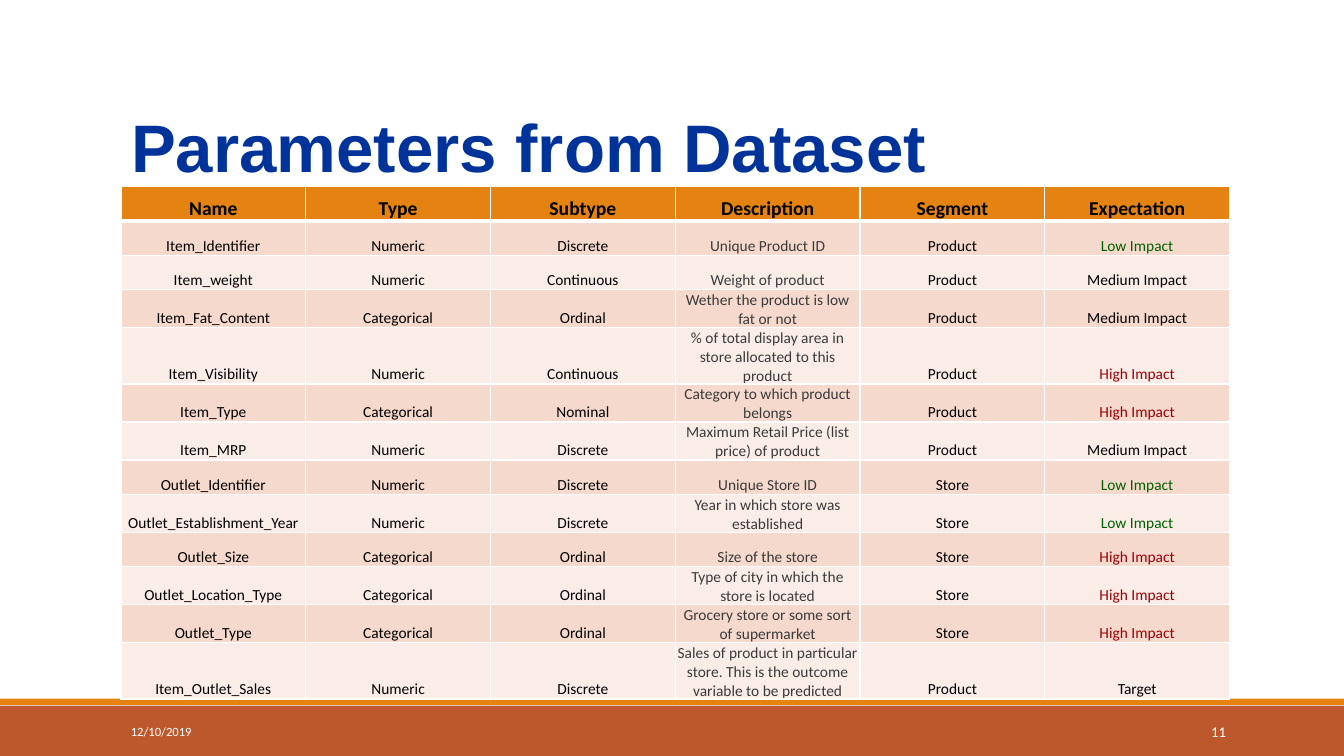
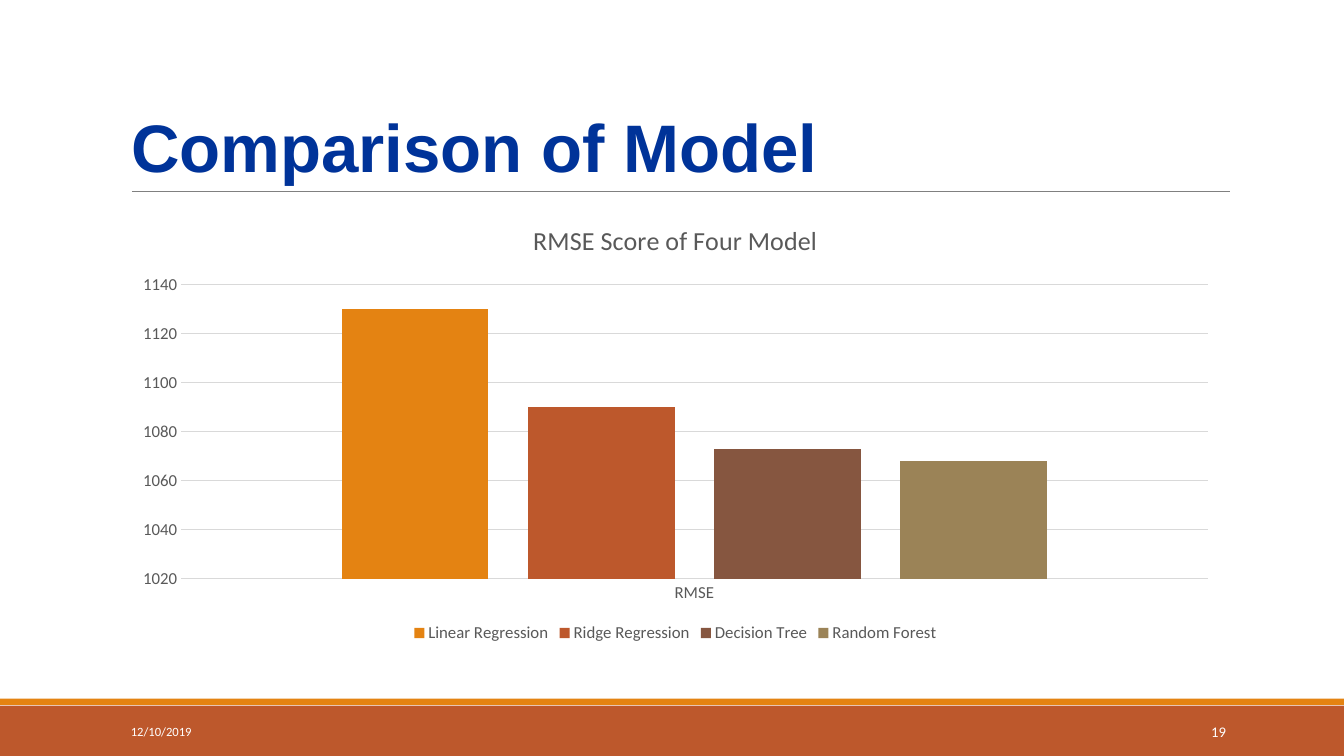
from lxml.etree import SubElement
from pptx import Presentation
from pptx.chart.data import CategoryChartData
from pptx.dml.color import RGBColor
from pptx.enum.chart import XL_CHART_TYPE, XL_LEGEND_POSITION, XL_TICK_MARK
from pptx.enum.shapes import MSO_CONNECTOR, MSO_SHAPE
from pptx.enum.text import MSO_ANCHOR, MSO_AUTO_SIZE, PP_ALIGN
from pptx.oxml.ns import qn
from pptx.util import Pt

COLORS = {
    "title": "003399", "orange": "E48312", "rust": "BD582C",
    "brown": "865640", "khaki": "9B8357", "rule": "808080",
    "white": "FFFFFF", "black": "000000", "description": "3A3A3A",
    "odd_row": "F5D9CC", "even_row": "FAEDE7",
    "low": "006100", "high": "9C0006",
    "chart_text": "595959", "grid": "D9D9D9",
}
WIDTH, HEIGHT = 960, 540
LEFT, CONTENT_WIDTH = 86.4, 792
BODY_FONT = "Calibri"
DATE = "12/10/2019"

HEADER = ("Name", "Type", "Subtype", "Description", "Segment", "Expectation")
PARAMETERS = [
    ("Item_Identifier", "Numeric", "Discrete", "Unique Product ID", "Product", "Low Impact"),
    ("Item_weight", "Numeric", "Continuous", "Weight of product", "Product", "Medium Impact"),
    ("Item_Fat_Content", "Categorical", "Ordinal", "Wether the product is low fat or not",
     "Product", "Medium Impact"),
    ("Item_Visibility", "Numeric", "Continuous",
     "% of total display area in store allocated to this product", "Product", "High Impact"),
    ("Item_Type", "Categorical", "Nominal", "Category to which product belongs",
     "Product", "High Impact"),
    ("Item_MRP", "Numeric", "Discrete", "Maximum Retail Price (list price) of product",
     "Product", "Medium Impact"),
    ("Outlet_Identifier", "Numeric", "Discrete", "Unique Store ID", "Store", "Low Impact"),
    ("Outlet_Establishment_Year", "Numeric", "Discrete", "Year in which store was established",
     "Store", "Low Impact"),
    ("Outlet_Size", "Categorical", "Ordinal", "Size of the store", "Store", "High Impact"),
    ("Outlet_Location_Type", "Categorical", "Ordinal",
     "Type of city in which the store is located", "Store", "High Impact"),
    ("Outlet_Type", "Categorical", "Ordinal", "Grocery store or some sort of supermarket",
     "Store", "High Impact"),
    ("Item_Outlet_Sales", "Numeric", "Discrete",
     "Sales of product in particular store. This is the outcome variable to be predicted",
     "Product", "Target"),
]
RMSE_SCORES = [
    ("Linear Regression", 1130, "orange"),
    ("Ridge Regression", 1090, "rust"),
    ("Decision Tree", 1073, "brown"),
    ("Random Forest", 1068, "khaki"),
]


def rgb(name):
    return RGBColor.from_string(COLORS[name])


def style_font(font, size, color, bold=False, name=BODY_FONT):
    font.name = name
    font.size = Pt(size)
    font.bold = bold
    font.color.rgb = rgb(color)


def add_band(s, top, height, color):
    sp = s.shapes.add_shape(MSO_SHAPE.RECTANGLE, 0, Pt(top), Pt(WIDTH), Pt(height))
    sp.shadow.inherit = False
    sp.fill.solid()
    sp.fill.fore_color.rgb = rgb(color)
    sp.line.fill.background()


def add_rule(s, left, right, y):
    line = s.shapes.add_connector(MSO_CONNECTOR.STRAIGHT, Pt(left), Pt(y), Pt(right), Pt(y))
    line.line.color.rgb = rgb("rule")
    line.line.width = Pt(0.5)
    SubElement(line.element.spPr, qn("a:effectLst"))


def add_footer_text(s, text, left, width, size, align):
    tf = s.shapes.add_textbox(Pt(left), Pt(508.3), Pt(width), Pt(28.8)).text_frame
    tf.word_wrap = True
    tf.vertical_anchor = MSO_ANCHOR.MIDDLE
    p = tf.paragraphs[0]
    p.text = text
    p.alignment = align
    style_font(p.runs[0].font, size, "white")


def set_title(s, text):
    sp = s.shapes.title
    sp.left, sp.top, sp.width, sp.height = Pt(LEFT), Pt(22.3), Pt(CONTENT_WIDTH), Pt(114.5)
    tf = sp.text_frame
    tf.word_wrap = True
    tf.auto_size = MSO_AUTO_SIZE.NONE
    tf.vertical_anchor = MSO_ANCHOR.BOTTOM
    p = tf.paragraphs[0]
    p.text = text
    p.alignment = PP_ALIGN.LEFT
    p.line_spacing = 0.85
    style_font(p.runs[0].font, 48, "title", True, "Arial")


def add_base_slide(prs, title, number):
    s = prs.slides.add_slide(prs.slide_layouts[5])
    add_band(s, 504, 36, "rust")
    add_band(s, 499, 4.6, "orange")
    add_rule(s, 94.3, 878.8, 136.8)
    set_title(s, title)
    add_footer_text(s, DATE, LEFT, 194.4, 9, PP_ALIGN.LEFT)
    add_footer_text(s, str(number), 779.8, 103, 10.5, PP_ALIGN.RIGHT)
    return s


def set_borders(cell, widths):
    tc_pr = cell._tc.get_or_add_tcPr()
    for side, width in zip("LRTB", widths):
        ln = SubElement(tc_pr, qn(f"a:ln{side}"), w=str(Pt(width)))
        fill = SubElement(ln, qn("a:solidFill"))
        SubElement(fill, qn("a:srgbClr"), val=COLORS["white"])


def text_color(row, column, text):
    if row and column == 3:
        return "description"
    return {"Low Impact": "low", "High Impact": "high"}.get(text, "black")


def fill_cell(cell, text, row, column):
    set_borders(cell, (1, 1, 3 if row == 1 else 1, 3 if row == 0 else 1))
    cell.fill.solid()
    fill = "orange" if row == 0 else ("even_row", "odd_row")[row % 2]
    cell.fill.fore_color.rgb = rgb(fill)
    cell.margin_left = cell.margin_right = cell.margin_top = Pt(0.7)
    cell.margin_bottom = 0
    cell.vertical_anchor = MSO_ANCHOR.BOTTOM
    p = cell.text_frame.paragraphs[0]
    p.text = text
    p.alignment = PP_ALIGN.CENTER
    style_font(p.runs[0].font, 11 if row else 14, text_color(row, column, text), row == 0)


def add_parameter_table(s, left, top, width, row_height):
    rows = [HEADER, *PARAMETERS]
    frame = s.shapes.add_table(len(rows), len(HEADER), Pt(left), Pt(top),
                               Pt(width), Pt(row_height * len(rows)))
    for r, values in enumerate(rows):
        for c, text in enumerate(values):
            fill_cell(frame.table.cell(r, c), text, r, c)


def style_axes(chart):
    value, category = chart.value_axis, chart.category_axis
    for axis in (value, category):
        axis.major_tick_mark = axis.minor_tick_mark = XL_TICK_MARK.NONE
        style_font(axis.tick_labels.font, 12, "chart_text")
    value.minimum_scale, value.maximum_scale, value.major_unit = 1020, 1140, 20
    value.format.line.fill.background()
    for line in (value.major_gridlines.format.line, category.format.line):
        line.color.rgb = rgb("grid")
        line.width = Pt(0.75)


def add_score_chart(s, left, top, width, height):
    data = CategoryChartData()
    data.categories = ["RMSE"]
    for name, score, _ in RMSE_SCORES:
        data.add_series(name, [score])
    chart = s.shapes.add_chart(XL_CHART_TYPE.COLUMN_CLUSTERED, Pt(left), Pt(top),
                               Pt(width), Pt(height), data).chart
    style_font(chart.font, 10, "black")
    chart.has_title = True
    p = chart.chart_title.text_frame.paragraphs[0]
    p.text = "RMSE Score of Four Model"
    style_font(p.runs[0].font, 18.6, "chart_text")
    chart.chart_title.include_in_layout = False
    chart.has_legend = True
    chart.legend.position = XL_LEGEND_POSITION.BOTTOM
    chart.legend.include_in_layout = False
    style_font(chart.legend.font, 12, "chart_text")
    style_axes(chart)
    plot = chart.plots[0]
    plot.gap_width, plot.overlap = 219, -27
    plot.vary_by_categories = False
    for series, (_, _, color) in zip(plot.series, RMSE_SCORES):
        series.format.fill.solid()
        series.format.fill.fore_color.rgb = rgb(color)


def main():
    prs = Presentation()
    prs.slide_width, prs.slide_height = Pt(WIDTH), Pt(HEIGHT)
    s = add_base_slide(prs, "Parameters from Dataset", 11)
    add_parameter_table(s, LEFT, 133.4, CONTENT_WIDTH, 24.5)
    s = add_base_slide(prs, "Comparison of Model", 19)
    add_score_chart(s, LEFT, 145.4, CONTENT_WIDTH, 316.8)
    prs.save("out.pptx")


if __name__ == "__main__":
    main()
